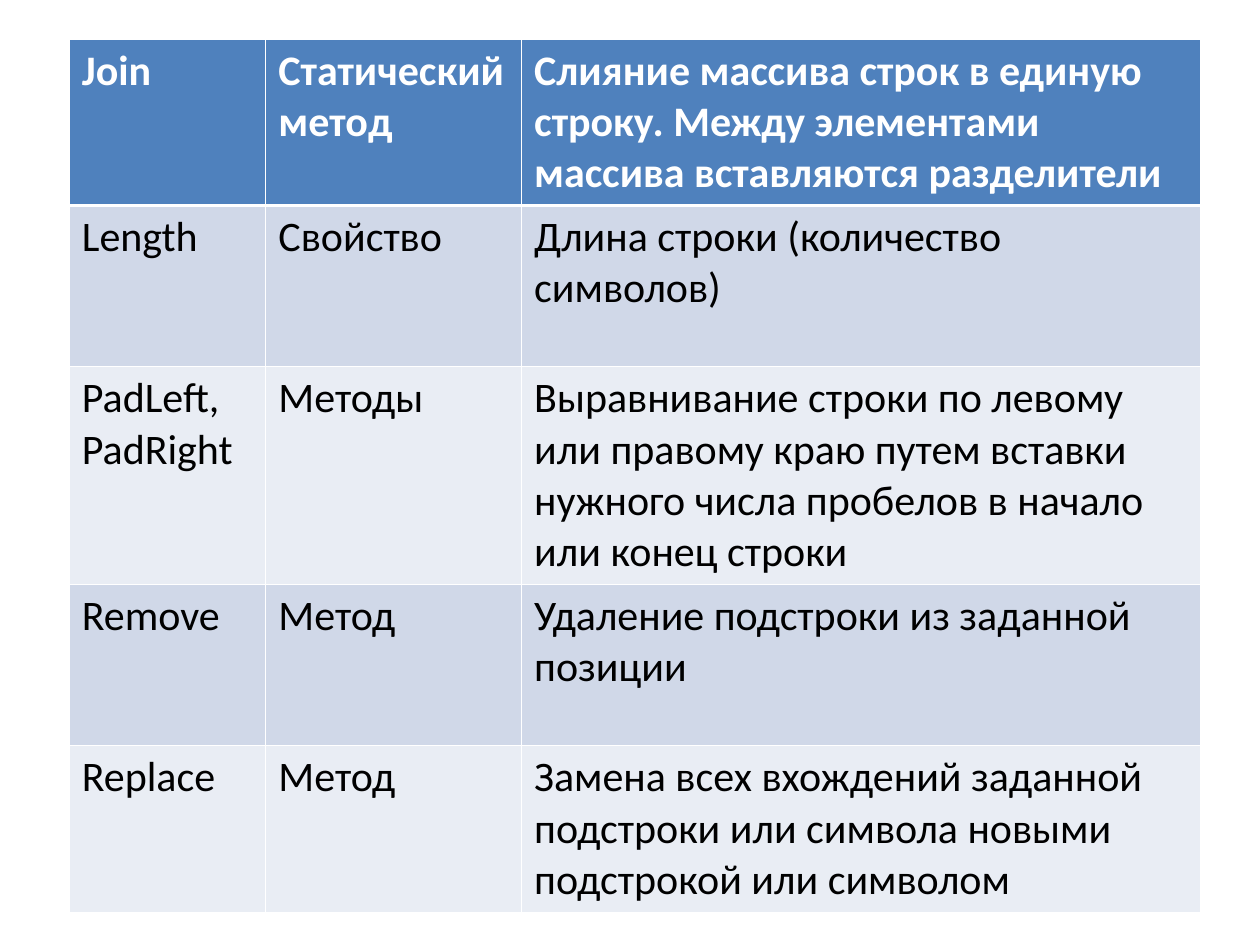
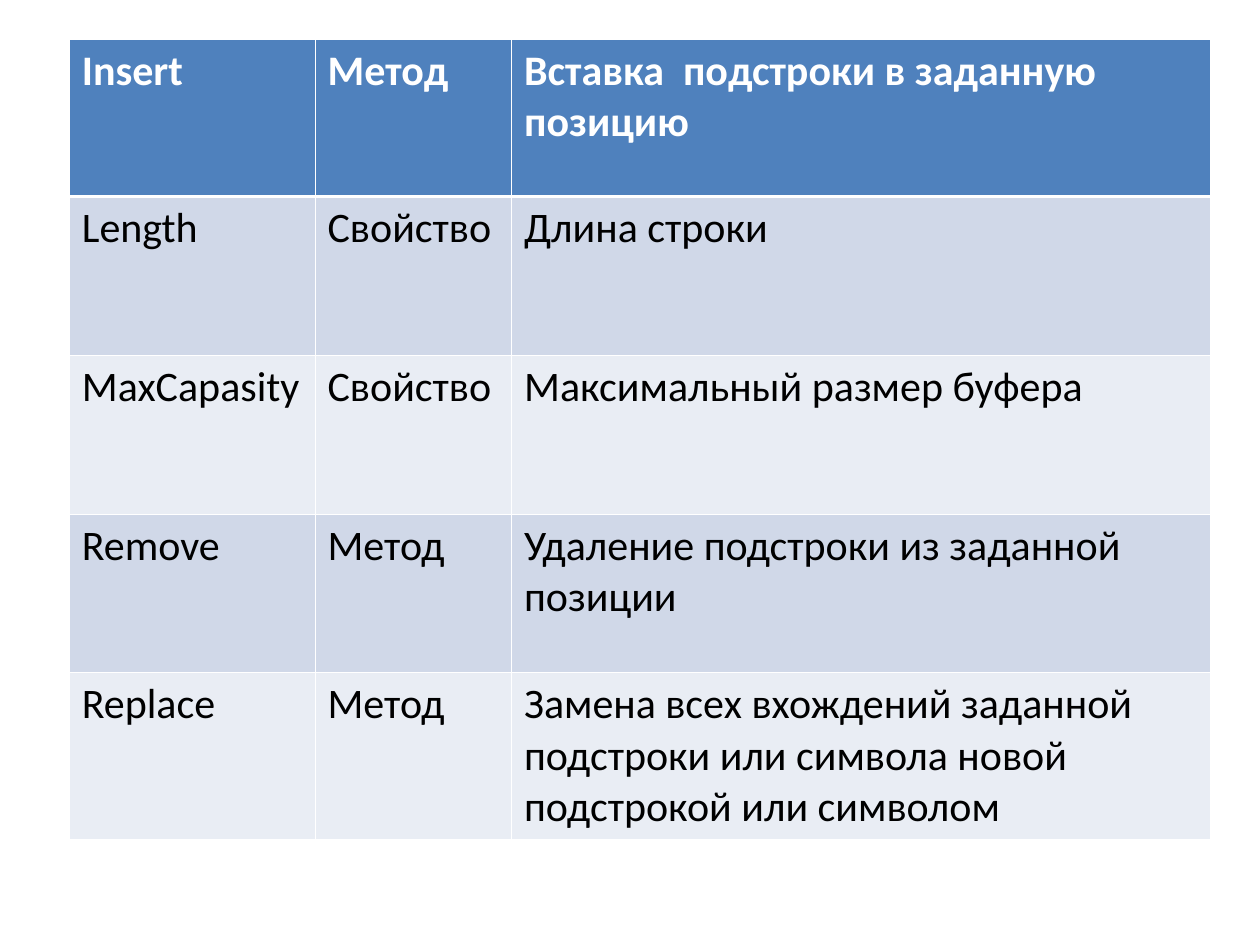
from lxml.etree import SubElement
from pptx import Presentation
from pptx.dml.color import RGBColor
from pptx.oxml.ns import qn
from pptx.util import Inches, Pt

GRID_COLUMNS, GRID_ROWS = 100, 75
TABLE_LEFT, TABLE_TOP = 5.5, 3.1
FONT_NAME, FONT_SIZE = "Calibri", 24
HEADER_FILL, BAND_FILLS = "4F81BD", ("E9EDF4", "D0D8E8")
HEADER_TEXT, BODY_TEXT, BORDER = "FFFFFF", "000000", "FFFFFF"
THIN_BORDER, HEADER_BORDER = 0.45, 1.47

STRING_MEMBERS = [
    ("Join", "Статический метод",
     "Слияние массива строк в единую строку. Между элементами массива вставляются разделители"),
    ("Length", "Свойство", "Длина строки (количество символов)"),
    ("PadLeft, PadRight", "Методы",
     "Выравнивание строки по левому или правому краю путем вставки нужного числа пробелов в начало или конец строки"),
    ("Remove", "Метод", "Удаление подстроки из заданной позиции"),
    ("Replace", "Метод",
     "Замена всех вхождений заданной подстроки или символа новыми подстрокой или символом"),
]
BUILDER_MEMBERS = [
    ("Insert", "Метод", "Вставка  подстроки в заданную позицию"),
    ("Length", "Свойство", "Длина строки"),
    ("MaxCapasity", "Свойство", "Максимальный размер буфера"),
    ("Remove", "Метод", "Удаление подстроки из заданной позиции"),
    ("Replace", "Метод",
     "Замена всех вхождений заданной подстроки или символа новой подстрокой или символом"),
]


def color(value):
    return RGBColor.from_string(value)


class Deck:
    def __init__(self):
        self.presentation = Presentation()
        self.presentation.slide_width = Inches(10)
        self.presentation.slide_height = Inches(7.5)
        self.slide = None

    def across(self, columns):
        return round(self.presentation.slide_width * columns / GRID_COLUMNS)

    def down(self, rows):
        return round(self.presentation.slide_height * rows / GRID_ROWS)

    def add_slide(self):
        self.slide = self.presentation.slides.add_slide(self.presentation.slide_layouts[6])

    def add_table(self, members, widths, heights):
        table = self.slide.shapes.add_table(
            len(members), len(widths), self.across(TABLE_LEFT), self.down(TABLE_TOP),
            self.across(sum(widths)), self.down(sum(heights))).table
        for column, width in zip(table.columns, widths):
            column.width = self.across(width)
        for row, height in zip(table.rows, heights):
            row.height = self.down(height)
        for row_index, member in enumerate(members):
            for column_index, text in enumerate(member):
                self.fill_cell(table.cell(row_index, column_index), text, row_index)

    def fill_cell(self, cell, text, row_index):
        is_header = row_index == 0
        self.add_borders(cell, row_index)
        cell.fill.solid()
        cell.fill.fore_color.rgb = color(HEADER_FILL if is_header else BAND_FILLS[row_index % 2])
        cell.text = text
        font = cell.text_frame.paragraphs[0].font
        font.name, font.size, font.bold = FONT_NAME, Pt(FONT_SIZE), is_header
        font.color.rgb = color(HEADER_TEXT if is_header else BODY_TEXT)

    def add_borders(self, cell, row_index):
        heavy_side = {0: "lnB", 1: "lnT"}.get(row_index)
        properties = cell._tc.get_or_add_tcPr()
        for side in ("lnL", "lnR", "lnT", "lnB"):
            width = HEADER_BORDER if side == heavy_side else THIN_BORDER
            line = SubElement(properties, qn(f"a:{side}"), w=str(Pt(width)))
            fill = SubElement(line, qn("a:solidFill"))
            SubElement(fill, qn("a:srgbClr"), val=BORDER)


def main():
    deck = Deck()
    deck.add_slide()
    deck.add_table(STRING_MEMBERS, (15.6, 20.3, 53.9), (13, 12.8, 17, 12.8, 13))
    deck.add_slide()
    deck.add_table(BUILDER_MEMBERS, (19.5, 15.6, 55.5), (12.5, 12.6, 12.6, 12.6, 13))
    deck.presentation.save("out.pptx")


if __name__ == "__main__":
    main()
